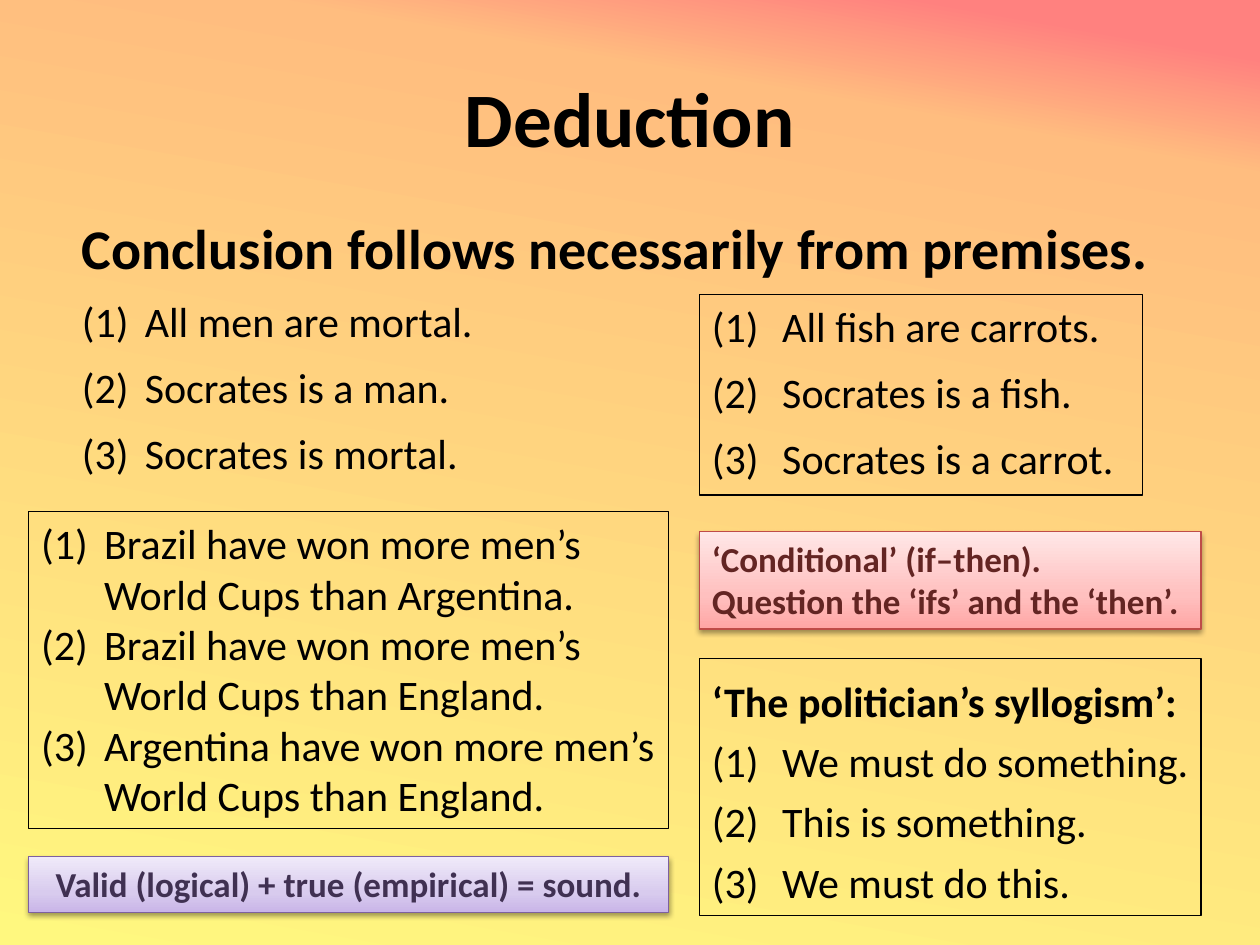
from dataclasses import dataclass
from typing import Optional

import lxml.etree
import pptx
import pptx.dml.color
import pptx.enum.text
import pptx.oxml.ns
import pptx.util

Cm = pptx.util.Cm
Pt = pptx.util.Pt
qn = pptx.oxml.ns.qn
ALIGN = pptx.enum.text.PP_ALIGN
FONT = "Calibri"


@dataclass(frozen=True)
class Gradient:
    stops: tuple[tuple[int, str], ...]
    angle: int


@dataclass(frozen=True)
class Panel:
    left: float
    top: float
    width: float
    height: float
    heading: tuple[str, ...] = ()
    statements: tuple[str, ...] = ()
    size: float = 24
    heading_size: float = 24
    indent: float = 1.42
    color: str = "000000"
    align: ALIGN = ALIGN.LEFT
    anchor: pptx.enum.text.MSO_ANCHOR = pptx.enum.text.MSO_ANCHOR.TOP
    spaced: bool = False
    line_spacing: Optional[float] = None
    border: Optional[str] = None
    gradient: Optional[Gradient] = None


SUNSET = Gradient(((0, "FFF87F"), (85, "FFBD7F"), (95, "FF817F"), (100, "FF817F")), 280)
LILAC = Gradient(((0, "C9B5E8"), (35, "D8CBEE"), (100, "F0EAF9")), 270)
ROSE = Gradient(((0, "FFA6A5"), (35, "FFC0BF"), (100, "FFE7E7")), 270)
RIGHT_COLUMN = 14.1
LEFT_COLUMN = 0.58

PANELS = (
    Panel(1.27, 0.76, 22.86, 3.18, heading=("Deduction",), heading_size=44,
          align=ALIGN.CENTER, anchor=pptx.enum.text.MSO_ANCHOR.MIDDLE),
    Panel(1.4, 4.17, 22.86, 13.61,
          heading=("Conclusion follows necessarily from premises.",), heading_size=32,
          statements=("All men are mortal.", "Socrates is a man.", "Socrates is mortal."),
          indent=1.27, spaced=True),
    Panel(LEFT_COLUMN, 10.31, 12.9, 6.4,
          statements=("Brazil have won more men’s World Cups than Argentina.",
                      "Brazil have won more men’s World Cups than England.",
                      "Argentina have won more men’s World Cups than England."),
          indent=1.27, border="000000"),
    Panel(LEFT_COLUMN, 17.27, 12.9, 1.12,
          heading=("Valid (logical) + true (empirical) = sound.",), heading_size=20,
          color="403152", align=ALIGN.CENTER, border="7D60A0", gradient=LILAC),
    Panel(RIGHT_COLUMN, 10.72, 10.11, 1.96,
          heading=("‘Conditional’ (if–then).", "Question the ‘ifs’ and the ‘then’."),
          heading_size=20, color="632523", border="BF4C48", gradient=ROSE),
    Panel(RIGHT_COLUMN, 13.28, 10.11, 5.18, heading=("‘The politician’s syllogism’:",),
          statements=("We must do something.", "This is something.", "We must do this."),
          line_spacing=1.2, border="000000"),
    Panel(RIGHT_COLUMN, 5.94, 8.94, 4.04,
          statements=("All fish are carrots.", "Socrates is a fish.", "Socrates is a carrot."),
          spaced=True, border="000000"),
)


def rgb(value: str) -> pptx.dml.color.RGBColor:
    return pptx.dml.color.RGBColor.from_string(value)


def add_element(parent, tag: str, **attributes):
    return lxml.etree.SubElement(
        parent, qn(tag), {name: str(value) for name, value in attributes.items()})


def apply_gradient(fill, element, gradient: Gradient) -> None:
    fill.gradient()
    fill.gradient_angle = 360 - gradient.angle
    stop_list = element.find(".//" + qn("a:gsLst"))
    for stop in list(stop_list):
        stop_list.remove(stop)
    for position, color in gradient.stops:
        stop = add_element(stop_list, "a:gs", pos=position * 1000)
        add_element(stop, "a:srgbClr", val=color)


def add_shadow(shape) -> None:
    shape.shadow.inherit = False
    effects = shape._element.spPr.find(qn("a:effectLst"))
    shadow = add_element(effects, "a:outerShdw", blurRad=Pt(3.1), dist=Pt(1.6),
                         dir=90 * 60000, rotWithShape=0)
    color = add_element(shadow, "a:srgbClr", val="000000")
    add_element(color, "a:alpha", val=38000)


def write_text(paragraph, text: str, *, size: float, color: str, bold: bool,
               align: ALIGN, spaced: bool, line_spacing: Optional[float],
               number_indent: Optional[float] = None) -> None:
    paragraph.alignment = align
    if line_spacing:
        paragraph.line_spacing = line_spacing
    if spaced:
        paragraph.space_before = Pt(size * 0.2)
        paragraph.space_after = Pt(4)
    if number_indent:
        properties = paragraph._p.get_or_add_pPr()
        properties.set("marL", str(Cm(number_indent)))
        properties.set("indent", str(-Cm(number_indent)))
        add_element(properties, "a:buFont", typeface=FONT)
        add_element(properties, "a:buAutoNum", type="arabicParenBoth")
    run = paragraph.add_run()
    run.text = text
    run.font.name = FONT
    run.font.size = Pt(size)
    run.font.bold = bold
    run.font.color.rgb = rgb(color)


def draw_panel(slide, panel: Panel) -> None:
    shape = slide.shapes.add_textbox(
        Cm(panel.left), Cm(panel.top), Cm(panel.width), Cm(panel.height))
    if panel.gradient:
        apply_gradient(shape.fill, shape._element, panel.gradient)
    if panel.border:
        shape.line.color.rgb = rgb(panel.border)
        shape.line.width = Pt(0.75)
    if panel.gradient:
        add_shadow(shape)
    frame = shape.text_frame
    frame.word_wrap = True
    frame.vertical_anchor = panel.anchor
    if panel.border:
        frame.auto_size = pptx.enum.text.MSO_AUTO_SIZE.SHAPE_TO_FIT_TEXT
    entries = [(text, True) for text in panel.heading]
    entries += [(text, False) for text in panel.statements]
    for index, (text, is_heading) in enumerate(entries):
        paragraph = frame.add_paragraph() if index else frame.paragraphs[0]
        write_text(paragraph, text, size=panel.heading_size if is_heading else panel.size,
                   color=panel.color, bold=is_heading, align=panel.align,
                   spaced=panel.spaced, line_spacing=panel.line_spacing,
                   number_indent=None if is_heading else panel.indent)


def main() -> None:
    presentation = pptx.Presentation()
    presentation.slide_width = Cm(25.4)
    presentation.slide_height = Cm(19.05)
    slide = presentation.slides.add_slide(presentation.slide_layouts[6])
    apply_gradient(slide.background.fill, slide._element, SUNSET)
    for panel in PANELS:
        draw_panel(slide, panel)
    presentation.save("out.pptx")


if __name__ == "__main__":
    main()
